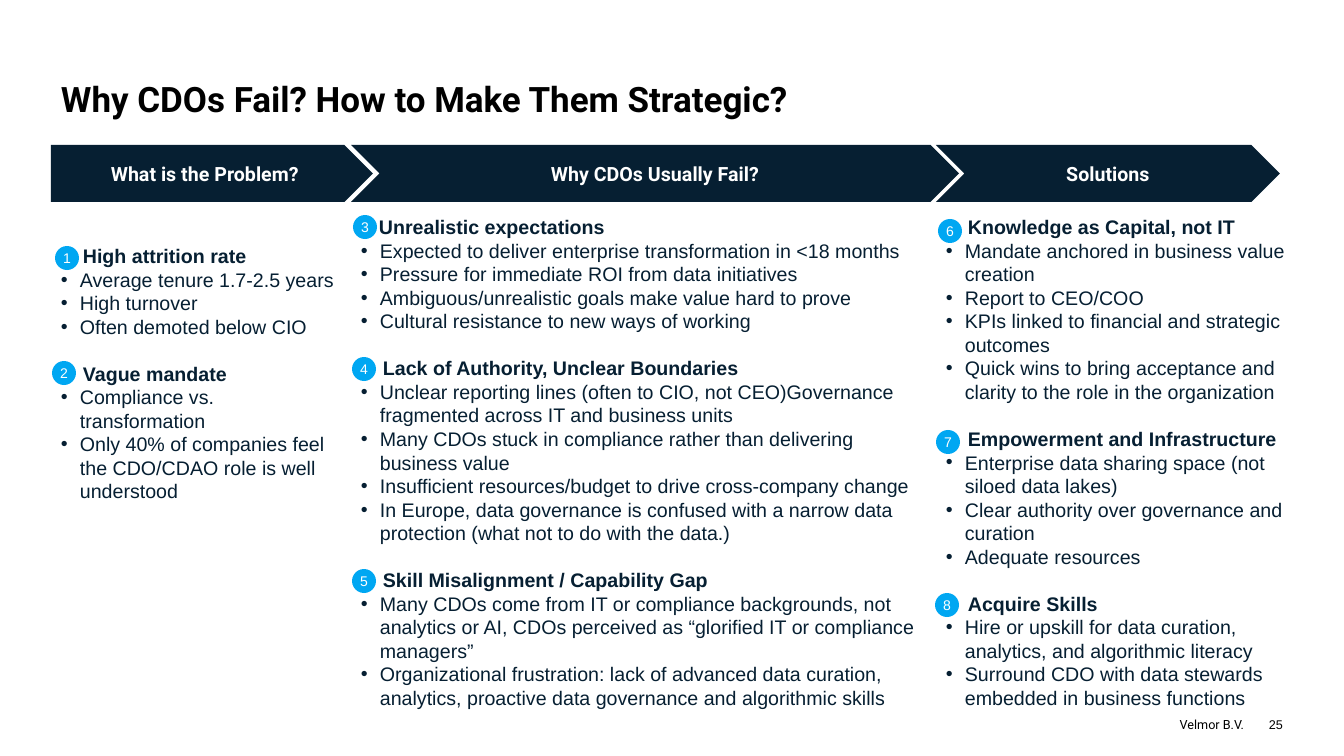
from lxml.etree import SubElement
from pptx import Presentation
from pptx.dml.color import RGBColor
from pptx.enum.shapes import MSO_SHAPE as Shape
from pptx.enum.text import MSO_ANCHOR as Anchor, PP_ALIGN as Align
from pptx.oxml.ns import qn
from pptx.util import Pt

PX = 914400 / 100.8
NAVY = RGBColor(0x06, 0x1F, 0x32)
BLUE = RGBColor(0x00, 0xA7, 0xF2)
WHITE = RGBColor(0xFF, 0xFF, 0xFF)
BLACK = RGBColor(0, 0, 0)


def px(*sizes):
    return [round(size * PX) for size in sizes]


def style(para, name, size, color, bold=False, align=Align.LEFT):
    para.alignment = align
    for run in para.runs:
        font = run.font
        font.name, font.size, font.bold = name, Pt(size), bold
        font.color.rgb = color


deck = Presentation()
deck.slide_width, deck.slide_height = px(1344, 756)
slide = deck.slides.add_slide(deck.slide_layouts[5])
shapes = slide.shapes

# Title
title = shapes.title
title.left, title.top, title.width, title.height = px(61, 39, 1222, 81)
frame = title.text_frame
frame.text = "Why CDOs Fail? How to Make Them Strategic?"
frame.margin_left = frame.margin_right = frame.margin_top = frame.margin_bottom = 0
frame.vertical_anchor = Anchor.BOTTOM
style(frame.paragraphs[0], "Roboto", 25, BLACK, True)

# Footer and page number
for text, left, width, name in [("Velmor B.V.", 1177, 67, "Roboto"), ("25", 1247, 36, "Arial")]:
    frame = shapes.add_textbox(*px(left, 717, width, 15)).text_frame
    frame.margin_left = frame.margin_right = frame.margin_top = frame.margin_bottom = 0
    frame.vertical_anchor = Anchor.BOTTOM
    frame.text = text
    style(frame.paragraphs[0], name, 9, BLACK, align=Align.RIGHT)

# Columns: banner kind, label, left, banner width, text top, text width, topics
# Topic: badge left, badge top, heading indent, heading, points
columns = [
    (Shape.PENTAGON, "What is the Problem?", 51, 322, 239, 299, [
        (55, 246, 22, "High attrition rate", [
            "Average tenure 1.7-2.5 years",
            "High turnover",
            "Often demoted below CIO"]),
        (52, 361, 22, "Vague mandate", [
            "Compliance vs. transformation",
            "Only 40% of companies feel the CDO/CDAO role is well understood"]),
    ]),
    (Shape.CHEVRON, "Why CDOs Usually Fail?", 351, 608, 210, 586, [
        (353, 215, 18, "Unrealistic expectations", [
            "Expected to deliver enterprise transformation in <18 months",
            "Pressure for immediate ROI from data initiatives",
            "Ambiguous/unrealistic goals make value hard to prove",
            "Cultural resistance to new ways of working"]),
        (352, 357, 22, "Lack of Authority, Unclear Boundaries", [
            "Unclear reporting lines (often to CIO, not CEO)Governance fragmented "
            "across IT and business units",
            "Many CDOs stuck in compliance rather than delivering business value",
            "Insufficient resources/budget to drive cross-company change",
            "In Europe, data governance is confused with a narrow data protection "
            "(what not to do with the data.)"]),
        (352, 569, 22, "Skill Misalignment / Capability Gap", [
            "Many CDOs come from IT or compliance backgrounds, not analytics or AI, "
            "CDOs perceived as “glorified IT or compliance managers”",
            "Organizational frustration: lack of advanced data curation, analytics, "
            "proactive data governance and algorithmic skills"]),
    ]),
    (Shape.CHEVRON, "Solutions", 936, 344, 210, 377, [
        (938, 219, 22, "Knowledge as Capital, not IT", [
            "Mandate anchored in business value creation",
            "Report to CEO/COO",
            "KPIs linked to financial and strategic outcomes",
            "Quick wins to bring acceptance and clarity to the role in the organization"]),
        (936, 430, 22, "Empowerment and Infrastructure", [
            "Enterprise data sharing space (not siloed data lakes)",
            "Clear authority over governance and curation",
            "Adequate resources"]),
        (935, 593, 22, "Acquire Skills", [
            "Hire or upskill for data curation, analytics, and algorithmic literacy",
            "Surround CDO with data stewards embedded in business functions"]),
    ]),
]

badges = []
for kind, label, left, span, top, width, topics in columns:
    # Banner
    banner = shapes.add_shape(kind, *px(left, 145, span, 57))
    banner.shadow.inherit = False
    banner.fill.solid()
    banner.fill.fore_color.rgb = NAVY
    banner.line.fill.background()
    banner.text_frame.text = label
    banner.text_frame.vertical_anchor = Anchor.MIDDLE
    style(banner.text_frame.paragraphs[0], "Roboto", 14, WHITE, True, Align.CENTER)

    # Headings and points
    frame = shapes.add_textbox(*px(left, top, width, 720 - top)).text_frame
    frame.word_wrap = True
    for index, (x, y, indent, heading, points) in enumerate(topics):
        badges.append((x, y))
        para = frame.add_paragraph() if index else frame.paragraphs[0]
        para.text = heading
        if index:
            para.space_before = Pt(16.9)
        para._p.get_or_add_pPr().set("marL", str(px(indent)[0]))
        style(para, "Arial", 14, NAVY, True)
        for point in points:
            para = frame.add_paragraph()
            para.text = point
            props = para._p.get_or_add_pPr()
            props.set("marL", str(px(19)[0]))
            props.set("indent", str(px(-19)[0]))
            SubElement(props, qn("a:buFont"), typeface="Arial")
            SubElement(props, qn("a:buChar"), char="•")
            style(para, "Arial", 14, NAVY)

# Numbered badges
for number, (x, y) in enumerate(badges, 1):
    badge = shapes.add_shape(Shape.OVAL, *px(x, y, 24, 24))
    badge.shadow.inherit = False
    badge.fill.solid()
    badge.fill.fore_color.rgb = BLUE
    badge.line.fill.background()
    frame = badge.text_frame
    frame.margin_left = frame.margin_right = frame.margin_top = frame.margin_bottom = 0
    frame.vertical_anchor = Anchor.MIDDLE
    frame.text = str(number)
    style(frame.paragraphs[0], "Arial", 10, WHITE, align=Align.CENTER)

deck.save("out.pptx")
